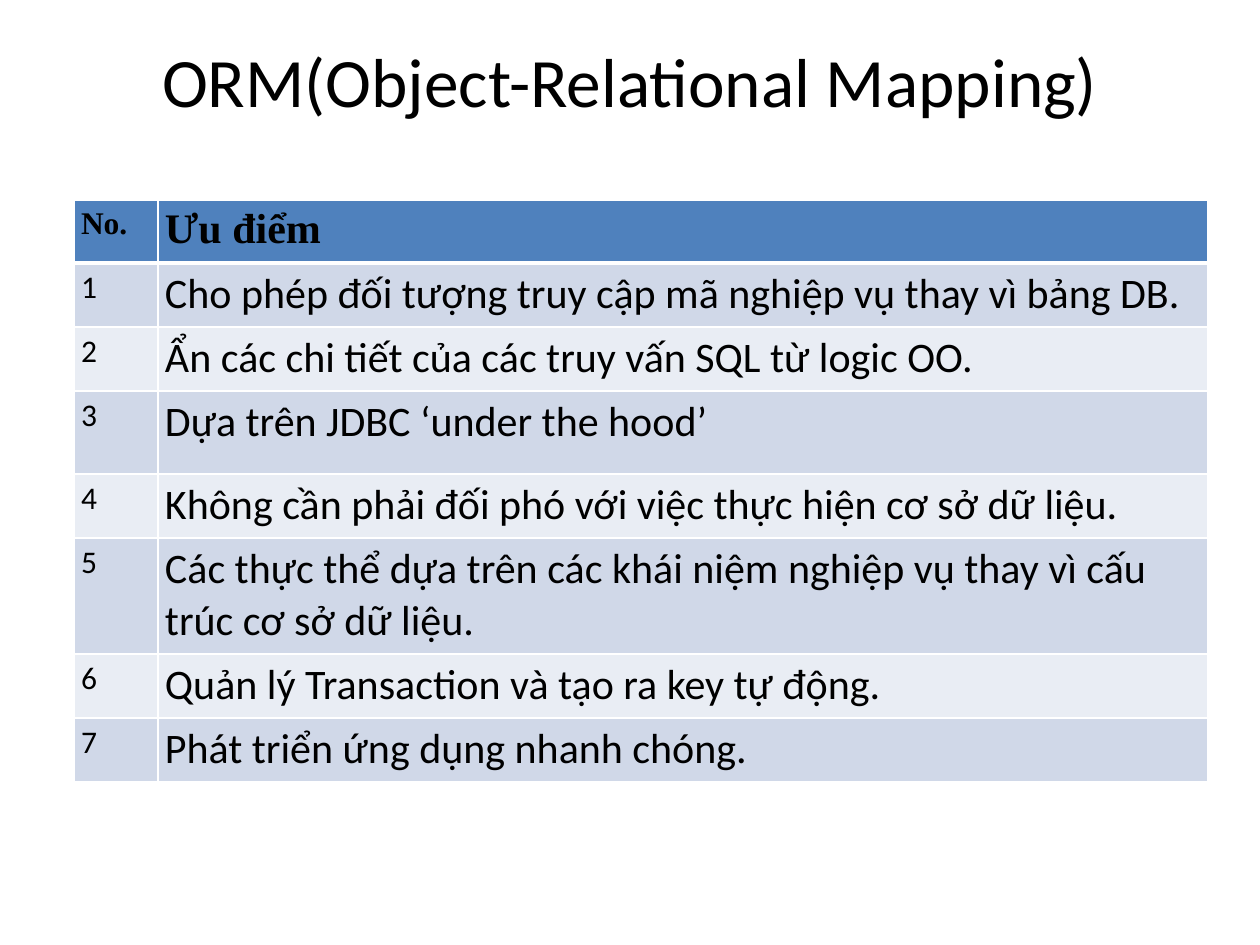
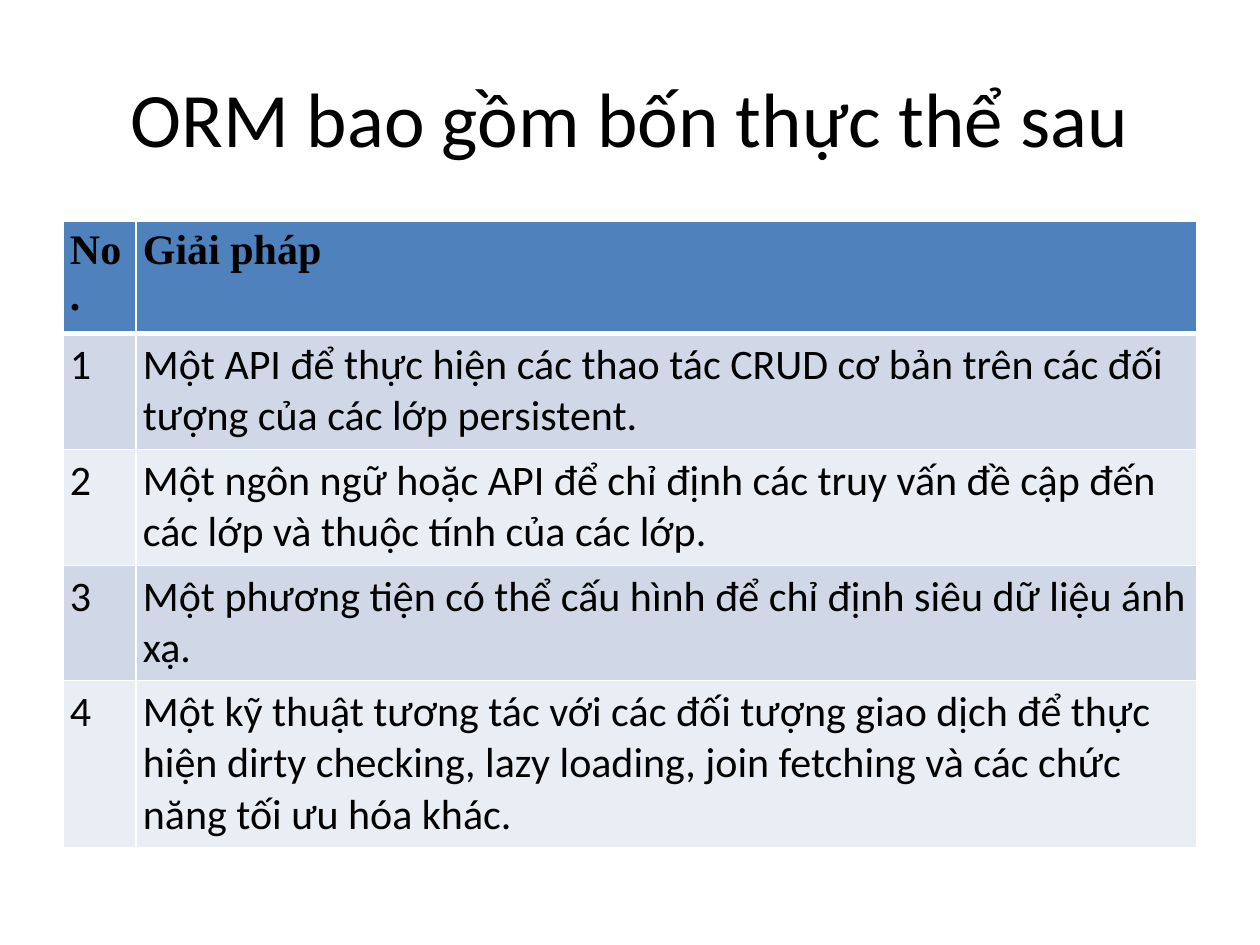
"""Build two ORM slides, each with a centred title and a numbered table."""
from lxml import etree
from pptx import Presentation
from pptx.dml.color import RGBColor
from pptx.enum.text import MSO_ANCHOR, PP_ALIGN
from pptx.oxml.ns import qn
from pptx.util import Emu, Pt

TOP, MIDDLE = MSO_ANCHOR.TOP, MSO_ANCHOR.MIDDLE
CENTER = PP_ALIGN.CENTER

PX_PER_INCH = 126
SLIDE_SIZE = (1260, 945)
TITLE_BOX = (63, 38, 1134, 158)
CELL_MARGIN_X, CELL_MARGIN_Y = 7, 6
BODY_FONT, HEADER_FONT = "Calibri", "Times New Roman"
BLACK, WHITE, HEADER_FILL = "000000", "FFFFFF", "4F81BD"
BAND_FILLS = ("D0D8E8", "E9EDF4")
TEXT_SIZE = 24
THIN_BORDER, THICK_BORDER = 1, 3

SLIDES = [
    {
        "title": "ORM(Object-Relational Mapping)",
        "title_size": 39.6,
        "title_anchor": TOP,
        "title_margin": 0,
        "table_origin": (74, 200),
        "columns": (84, 1050),
        "rows": (63, 64, 64, 83, 64, 116, 64, 64),
        "number_size": 18,
        "heading": "Ưu điểm",
        "items": [
            "Cho phép đối tượng truy cập mã nghiệp vụ thay vì bảng DB.",
            "Ẩn các chi tiết của các truy vấn SQL từ logic OO.",
            "Dựa trên JDBC ‘under the hood’",
            "Không cần phải đối phó với việc thực hiện cơ sở dữ liệu.",
            "Các thực thể dựa trên các khái niệm nghiệp vụ thay vì cấu trúc cơ sở dữ liệu.",
            "Quản lý Transaction và tạo ra key tự động.",
            "Phát triển ứng dụng nhanh chóng.",
        ],
    },
    {
        "title": "ORM bao gồm bốn thực thể sau",
        "title_size": 44,
        "title_anchor": MIDDLE,
        "title_margin": 6,
        "table_origin": (63, 221),
        "columns": (73, 1061),
        "rows": (105, 116, 116, 115, 167),
        "number_size": 24,
        "heading": "Giải pháp",
        "items": [
            "Một API để thực hiện các thao tác CRUD cơ bản trên các đối tượng của các lớp persistent.",
            "Một ngôn ngữ hoặc API để chỉ định các truy vấn đề cập đến các lớp và thuộc tính của các lớp.",
            "Một phương tiện có thể cấu hình để chỉ định siêu dữ liệu ánh xạ.",
            "Một kỹ thuật tương tác với các đối tượng giao dịch để thực hiện dirty checking, "
            "lazy loading, join fetching và các chức năng tối ưu hóa khác.",
        ],
    },
]


def px(length):
    return Emu(round(length * 914400 / PX_PER_INCH))


def color(value):
    return RGBColor.from_string(value)


def style_text(text_frame, size, font_name=BODY_FONT, bold=False):
    for paragraph in text_frame.paragraphs:
        for run in paragraph.runs:
            run.font.size = Pt(size)
            run.font.name = font_name
            run.font.bold = bold
            run.font.color.rgb = color(BLACK)


def add_title(slide, content):
    box = slide.shapes.add_textbox(*map(px, TITLE_BOX))
    text_frame = box.text_frame
    text_frame.word_wrap = True
    text_frame.vertical_anchor = content["title_anchor"]
    text_frame.margin_top = text_frame.margin_bottom = px(content["title_margin"])
    text_frame.text = content["title"]
    text_frame.paragraphs[0].alignment = CENTER
    style_text(text_frame, content["title_size"])


def set_borders(cell, top, bottom):
    properties = cell._tc.get_or_add_tcPr()
    widths = {"a:lnL": THIN_BORDER, "a:lnR": THIN_BORDER, "a:lnT": top, "a:lnB": bottom}
    for position, (tag, width) in enumerate(widths.items()):
        line = etree.Element(qn(tag), w=str(Pt(width)))
        fill = etree.SubElement(line, qn("a:solidFill"))
        etree.SubElement(fill, qn("a:srgbClr"), val=WHITE)
        properties.insert(position, line)


def fill_cell(cell, text, row_index, size):
    is_header = row_index == 0
    cell.margin_left = cell.margin_right = px(CELL_MARGIN_X)
    cell.margin_top = cell.margin_bottom = px(CELL_MARGIN_Y)
    cell.fill.solid()
    cell.fill.fore_color.rgb = color(HEADER_FILL if is_header else BAND_FILLS[(row_index - 1) % 2])
    cell.text_frame.text = text
    style_text(cell.text_frame, size, HEADER_FONT if is_header else BODY_FONT, is_header)
    set_borders(
        cell,
        top=THICK_BORDER if row_index == 1 else THIN_BORDER,
        bottom=THICK_BORDER if is_header else THIN_BORDER,
    )


def add_numbered_table(slide, content):
    columns, rows = content["columns"], content["rows"]
    frame = slide.shapes.add_table(
        len(rows), len(columns), *map(px, (*content["table_origin"], sum(columns), sum(rows)))
    )
    table = frame.table
    for column, width in zip(table.columns, columns):
        column.width = px(width)
    for row, height in zip(table.rows, rows):
        row.height = px(height)

    records = [("No.", content["heading"])]
    records += [(str(number), item) for number, item in enumerate(content["items"], 1)]
    for row_index, record in enumerate(records):
        for column_index, (text, size) in enumerate(zip(record, (content["number_size"], TEXT_SIZE))):
            fill_cell(table.cell(row_index, column_index), text, row_index, size)


def main():
    presentation = Presentation()
    presentation.slide_width, presentation.slide_height = map(px, SLIDE_SIZE)
    blank_layout = presentation.slide_layouts[6]
    for content in SLIDES:
        slide = presentation.slides.add_slide(blank_layout)
        add_title(slide, content)
        add_numbered_table(slide, content)
    presentation.save("out.pptx")


if __name__ == "__main__":
    main()
